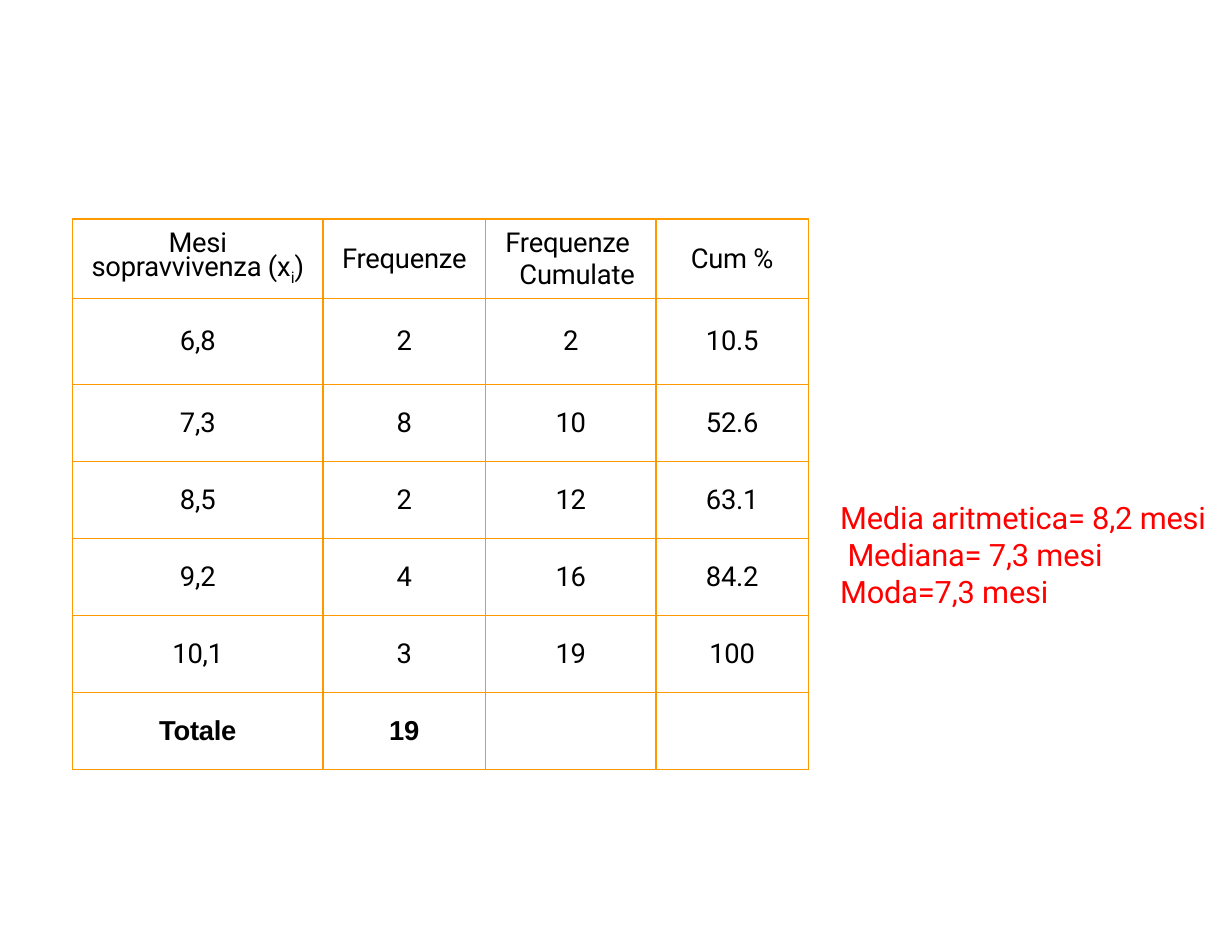
from lxml.etree import SubElement as Sub
from pptx import Presentation
from pptx.dml.color import RGBColor as Rgb
from pptx.enum.text import MSO_ANCHOR as Anchor, PP_ALIGN as Align
from pptx.oxml.ns import qn
from pptx.util import Pt

COLS = [146.4, 95, 99.6, 89.1]
ROWS = [46.5, 50.3] + [45] * 5
DATA = [
    ["Mesi\vsopravvivenza (x", "Frequenze", "Frequenze\vCumulate", "Cum %"],
    ["6,8", "2", "2", "10.5"],
    ["7,3", "8", "10", "52.6"],
    ["8,5", "2", "12", "63.1"],
    ["9,2", "4", "16", "84.2"],
    ["10,1", "3", "19", "100"],
    ["Totale", "19", "", ""],
]
STATS = ["Media aritmetica= 8,2 mesi", "Mediana= 7,3 mesi", "Moda=7,3 mesi"]


def paint(obj, hue):
    """Give a font or a line fill a solid colour."""
    obj.solid()
    obj.fore_color.rgb = Rgb.from_string(hue)


def style(para, size, hue, face="Roboto", bold=False):
    """Set the font of a paragraph and its slightly tight spacing."""
    font = para.font
    font.name, font.size, font.bold = face, Pt(size), bold
    paint(font.fill, hue)
    for run in para.runs:
        run.font._element.set("spc", "-10")


def indent(para, left, first=0):
    """Set the left margin and first-line indent of a paragraph."""
    props = para._p.get_or_add_pPr()
    props.set("marL", str(Pt(left)))
    props.set("indent", str(Pt(first)))


def border(cell, hue, width):
    """Draw all four sides of a cell."""
    props = cell._tc.get_or_add_tcPr()
    for side in ("lnL", "lnR", "lnT", "lnB"):
        line = Sub(props, qn("a:" + side), w=str(Pt(width)))
        fill = Sub(line, qn("a:solidFill"))
        Sub(fill, qn("a:srgbClr"), val=hue)


def fill_cell(cell, text, bold):
    """Write one centred table cell."""
    cell.margin_left = cell.margin_right = 0
    cell.margin_top = cell.margin_bottom = 0
    cell.vertical_anchor = Anchor.MIDDLE
    border(cell, "FF9900", 1)
    cell.fill.background()
    para = cell.text_frame.paragraphs[0]
    cell.text = text
    para = cell.text_frame.paragraphs[0]
    para.alignment = Align.CENTER
    style(para, 16, "000000", "Arial" if bold else "Roboto", bold)


def finish_head(table):
    """Add the subscript and the staggered lines of the header row."""
    months = table.cell(0, 0).text_frame.paragraphs[0]
    months.line_spacing = Pt(16.5)
    for text, base in (("i", "-26000"), (")", "0")):
        run = months.add_run()
        run.text = text
        run.font._element.set("baseline", base)
    total = table.cell(0, 2).text_frame.paragraphs[0]
    total.alignment = Align.LEFT
    indent(total, 19.8, -8.2)


def add_grid(slide):
    """Add the frequency table."""
    frame = slide.shapes.add_table(
        len(ROWS), len(COLS), Pt(42.4), Pt(128), Pt(sum(COLS)), Pt(sum(ROWS)))
    table = frame.table
    table.first_row = table.horz_banding = False
    for col, width in zip(table.columns, COLS):
        col.width = Pt(width)
    for row, height, texts in zip(table.rows, ROWS, DATA):
        row.height = Pt(height)
        for cell, text in zip(row.cells, texts):
            fill_cell(cell, text, texts[0] == "Totale")
    finish_head(table)


def add_stats(slide):
    """Add the three summary measures."""
    box = slide.shapes.add_textbox(Pt(490.3), Pt(290.2), Pt(217.4), Pt(66.2))
    frame = box.text_frame
    frame.word_wrap = False
    frame.margin_left = frame.margin_right = frame.margin_bottom = 0
    frame.margin_top = Pt(1.5)
    frame.text = "\n".join(STATS)
    for para, left in zip(frame.paragraphs, (0.7, 5, 0.7)):
        para.alignment = Align.LEFT
        indent(para, left)
        style(para, 18, "FF0000")


def main():
    """Build and save the slide."""
    deck = Presentation()
    deck.slide_width, deck.slide_height = Pt(720), Pt(552.24)
    slide = deck.slides.add_slide(deck.slide_layouts[6])
    add_grid(slide)
    add_stats(slide)
    deck.save("out.pptx")


if __name__ == "__main__":
    main()
